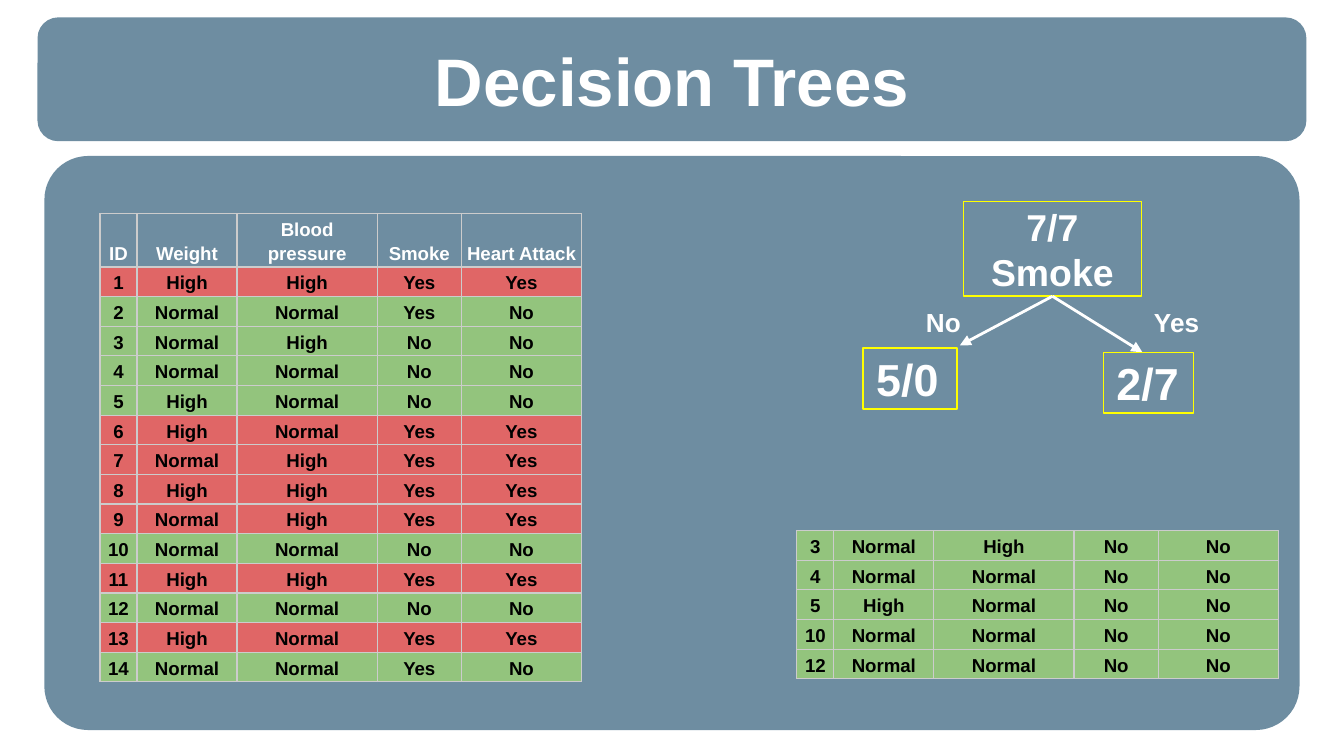
from dataclasses import dataclass

from lxml import etree
from pptx import Presentation
from pptx.dml.color import RGBColor
from pptx.enum.shapes import MSO_CONNECTOR, MSO_SHAPE
from pptx.enum.text import MSO_ANCHOR, MSO_AUTO_SIZE, PP_ALIGN
from pptx.oxml import parse_xml
from pptx.oxml.ns import nsdecls, qn
from pptx.util import Cm, Pt

ROUNDED = MSO_SHAPE.ROUNDED_RECTANGLE
RECTANGLE = MSO_SHAPE.RECTANGLE
STRAIGHT = MSO_CONNECTOR.STRAIGHT
TOP, MIDDLE, BOTTOM = MSO_ANCHOR.TOP, MSO_ANCHOR.MIDDLE, MSO_ANCHOR.BOTTOM
LEFT, CENTER = PP_ALIGN.LEFT, PP_ALIGN.CENTER
NO_AUTOFIT = MSO_AUTO_SIZE.NONE
BOTTOM_SITE = 2


@dataclass(frozen=True)
class Theme:
    font: str = "Arial"
    panel: str = "215170"
    panel_alpha: int = 65
    light: str = "FFFFFF"
    dark: str = "000000"
    attack: str = "E06666"
    healthy: str = "93C47D"
    grid: str = "CCCCCC"
    node: str = "FFFF00"
    title_size: int = 36
    leaf_size: int = 24
    root_size: int = 20
    branch_size: int = 14
    table_size: int = 10
    thin: float = 0.75
    arrow: float = 1.5


COLUMN_WIDTHS = (0.7, 1.89, 2.65, 1.59, 2.27)
HEADER_HEIGHT, ROW_HEIGHT = 1.0, 0.56
HEADINGS = ("ID", "Weight", "Blood pressure", "Smoke", "Heart Attack")
PATIENTS = (
    ("1", "High", "High", "Yes", "Yes"),
    ("2", "Normal", "Normal", "Yes", "No"),
    ("3", "Normal", "High", "No", "No"),
    ("4", "Normal", "Normal", "No", "No"),
    ("5", "High", "Normal", "No", "No"),
    ("6", "High", "Normal", "Yes", "Yes"),
    ("7", "Normal", "High", "Yes", "Yes"),
    ("8", "High", "High", "Yes", "Yes"),
    ("9", "Normal", "High", "Yes", "Yes"),
    ("10", "Normal", "Normal", "No", "No"),
    ("11", "High", "High", "Yes", "Yes"),
    ("12", "Normal", "Normal", "No", "No"),
    ("13", "High", "Normal", "Yes", "Yes"),
    ("14", "Normal", "Normal", "Yes", "No"),
)


class SlideBuilder:
    def __init__(self, slide, theme):
        self.slide = slide
        self.theme = theme

    def add_lines(self, frame, lines, size, align=LEFT, color=None, spacing=None):
        for index, line in enumerate(lines):
            paragraph = frame.add_paragraph() if index else frame.paragraphs[0]
            paragraph.alignment = align
            if spacing:
                paragraph.line_spacing = spacing
            run = paragraph.add_run()
            run.text = line
            run.font.name = self.theme.font
            run.font.size = Pt(size)
            run.font.bold = True
            run.font.color.rgb = RGBColor.from_string(color or self.theme.light)

    def set_frame(self, frame, anchor):
        frame.word_wrap = True
        frame.auto_size = NO_AUTOFIT
        frame.vertical_anchor = anchor
        frame.margin_left = frame.margin_right = Cm(0.25)
        frame.margin_top = frame.margin_bottom = Cm(0.25)

    def panel(self, left, top, width, height, rounding):
        panel = self.slide.shapes.add_shape(
            ROUNDED, Cm(left), Cm(top), Cm(width), Cm(height))
        panel.adjustments[0] = rounding
        panel.shadow.inherit = False
        panel.line.fill.background()
        panel.fill.solid()
        panel.fill.fore_color.rgb = RGBColor.from_string(self.theme.panel)
        color = panel._element.spPr.find(qn("a:solidFill"))[0]
        alpha = etree.SubElement(color, qn("a:alpha"))
        alpha.set("val", str(self.theme.panel_alpha * 1000))

    def title(self, text, left, top, width, height):
        title = self.slide.shapes.title
        title.left, title.top = Cm(left), Cm(top)
        title.width, title.height = Cm(width), Cm(height)
        self.slide.shapes._spTree.append(title._element)
        self.set_frame(title.text_frame, MIDDLE)
        self.add_lines(title.text_frame, [text], self.theme.title_size, CENTER)

    def border(self, cell):
        properties = cell._tc.get_or_add_tcPr()
        for side in ("lnL", "lnR", "lnT", "lnB"):
            properties.append(parse_xml(
                f'<a:{side} {nsdecls("a")} w="{Pt(self.theme.thin)}">'
                f'<a:solidFill><a:srgbClr val="{self.theme.grid}"/></a:solidFill>'
                f'</a:{side}>'))

    def cell(self, cell, text, color, fill):
        cell.margin_left = cell.margin_right = Cm(0.08)
        cell.margin_top = cell.margin_bottom = Cm(0.05)
        cell.vertical_anchor = BOTTOM
        self.add_lines(cell.text_frame, [text], self.theme.table_size, CENTER,
                       color, 1.15)
        self.border(cell)
        if fill:
            cell.fill.solid()
            cell.fill.fore_color.rgb = RGBColor.from_string(fill)
        else:
            cell.fill.background()

    def table(self, left, top, patients, headings=None):
        theme = self.theme
        rows = [(ROW_HEIGHT, patient, theme.dark,
                 theme.attack if patient[-1] == "Yes" else theme.healthy)
                for patient in patients]
        if headings:
            rows.insert(0, (HEADER_HEIGHT, headings, theme.light, None))
        table = self.slide.shapes.add_table(
            len(rows), len(COLUMN_WIDTHS), Cm(left), Cm(top),
            Cm(sum(COLUMN_WIDTHS)), Cm(sum(row[0] for row in rows))).table
        table.first_row = bool(headings)
        table.horz_banding = False
        for column, width in zip(table.columns, COLUMN_WIDTHS):
            column.width = Cm(width)
        for row, (height, values, color, fill) in zip(table.rows, rows):
            row.height = Cm(height)
            for cell, value in zip(row.cells, values):
                self.cell(cell, value, color, fill)

    def node(self, lines, left, top, width, height, size, align=LEFT):
        node = self.slide.shapes.add_shape(
            RECTANGLE, Cm(left), Cm(top), Cm(width), Cm(height))
        node.shadow.inherit = False
        node.fill.background()
        node.line.color.rgb = RGBColor.from_string(self.theme.node)
        node.line.width = Pt(self.theme.thin)
        self.set_frame(node.text_frame, MIDDLE)
        self.add_lines(node.text_frame, lines, size, align)
        return node

    def arrow(self, parent, end_x, end_y):
        arrow = self.slide.shapes.add_connector(
            STRAIGHT, parent.left, parent.top, Cm(end_x), Cm(end_y))
        arrow.begin_connect(parent, BOTTOM_SITE)
        arrow.line.color.rgb = RGBColor.from_string(self.theme.light)
        arrow.line.width = Pt(self.theme.arrow)
        head = etree.SubElement(arrow.line._get_or_add_ln(), qn("a:tailEnd"))
        head.set("type", "triangle")
        etree.SubElement(arrow._element.spPr, qn("a:effectLst"))

    def branch_label(self, text, left, top):
        label = self.slide.shapes.add_textbox(
            Cm(left), Cm(top), Cm(1.52), Cm(1.07))
        self.set_frame(label.text_frame, TOP)
        self.add_lines(label.text_frame, [text], self.theme.branch_size)


def main():
    presentation = Presentation()
    presentation.slide_width, presentation.slide_height = Cm(25.4), Cm(14.29)
    theme = Theme()
    slide = presentation.slides.add_slide(presentation.slide_layouts[5])
    builder = SlideBuilder(slide, theme)

    builder.panel(0.71, 0.33, 23.98, 2.34, 0.167)
    builder.panel(0.84, 2.95, 23.72, 10.85, 0.076)
    builder.title("Decision Trees", 0.84, 0.74, 23.72, 1.52)

    non_smokers = [patient for patient in PATIENTS if patient[3] == "No"]
    builder.table(1.89, 4.04, PATIENTS, HEADINGS)
    builder.table(15.06, 10.03, non_smokers)

    root = builder.node(["7/7", "Smoke"], 18.21, 3.81, 3.36, 1.79,
                        theme.root_size, CENTER)
    builder.arrow(root, 18.14, 6.53)
    builder.arrow(root, 21.59, 6.66)
    builder.branch_label("No", 17.25, 5.54)
    builder.branch_label("Yes", 21.56, 5.54)
    builder.node(["5/0"], 16.31, 6.58, 1.78, 1.15, theme.leaf_size)
    builder.node(["2/7"], 20.85, 6.66, 1.71, 1.15, theme.leaf_size)

    presentation.save("out.pptx")


if __name__ == "__main__":
    main()
